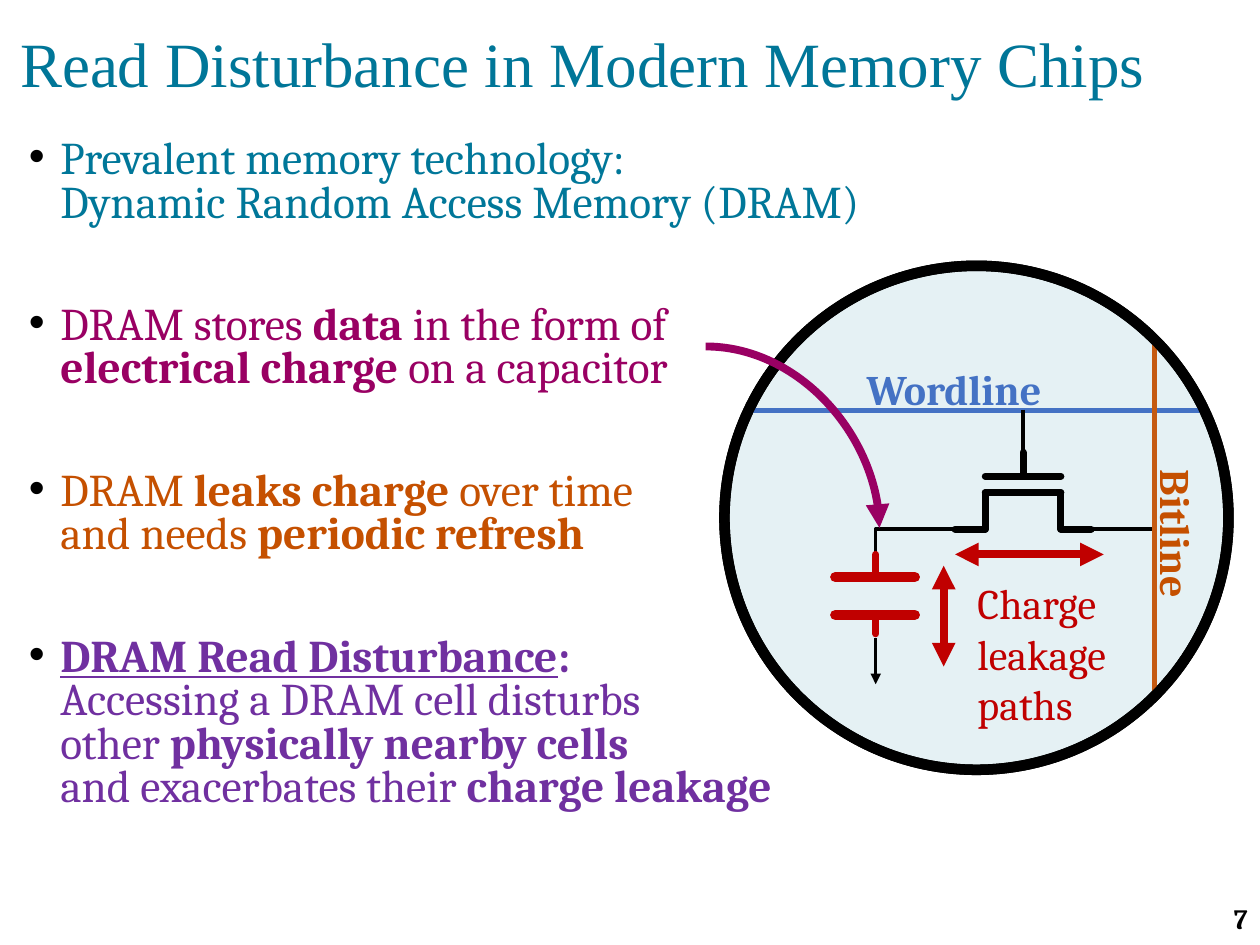
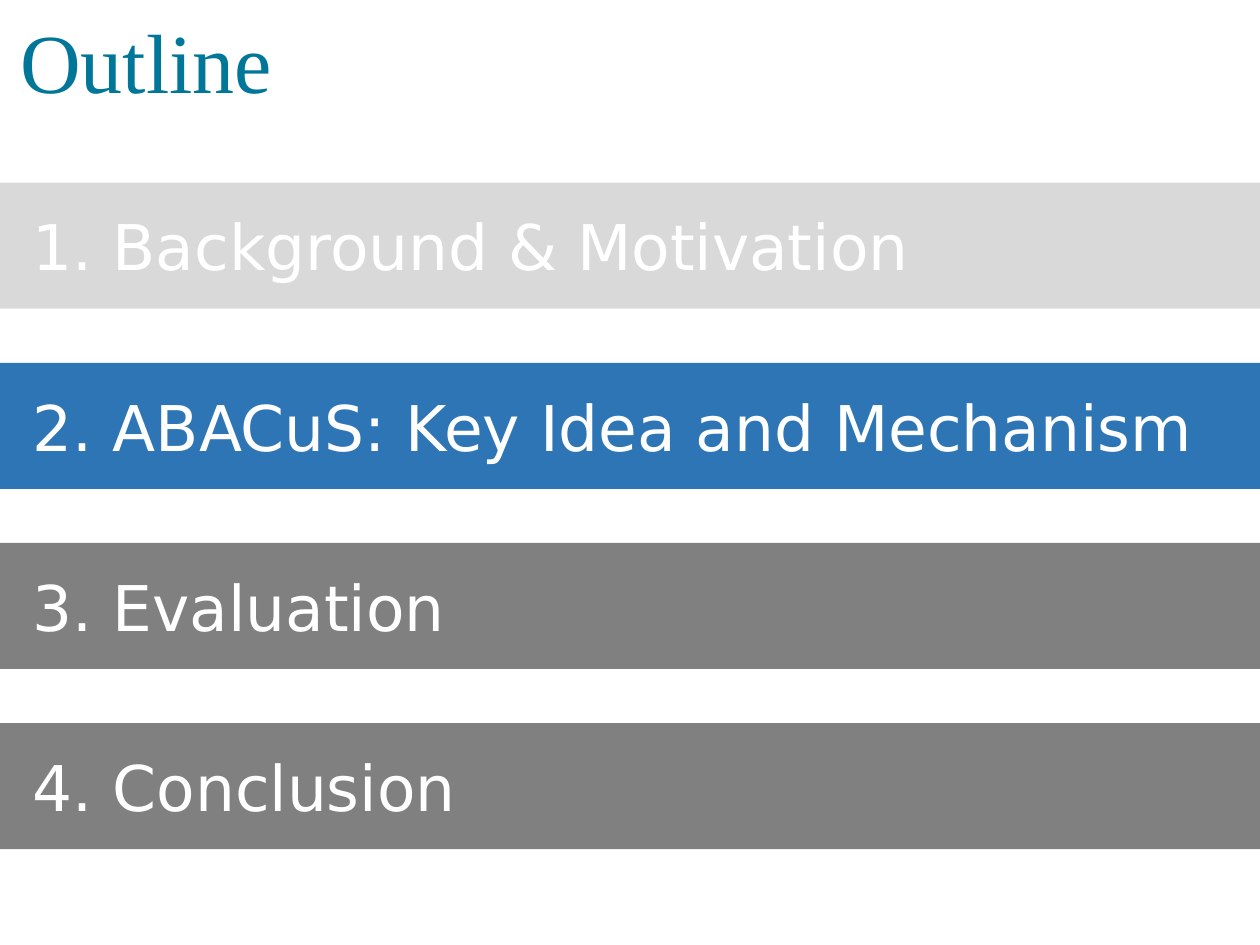
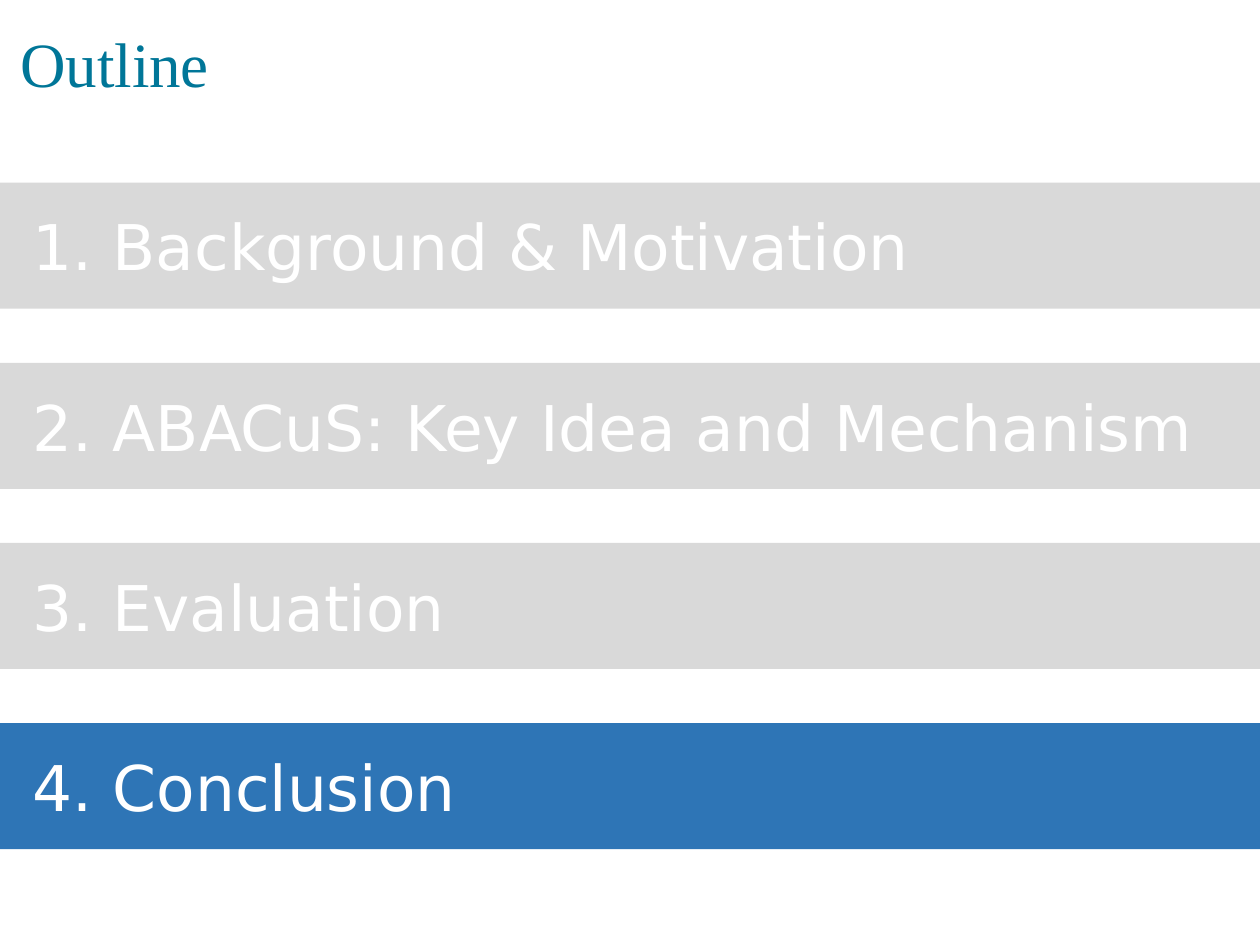
from lxml import etree
from pptx import Presentation
from pptx.dml.color import RGBColor
from pptx.enum.shapes import MSO_CONNECTOR as CONN, MSO_SHAPE as SHAPE
from pptx.enum.text import MSO_ANCHOR as ANCHOR, MSO_AUTO_SIZE as AUTO, PP_ALIGN as ALIGN
from pptx.oxml.ns import qn
from pptx.util import Inches, Pt

BLACK = RGBColor(0x00, 0x00, 0x00)
WHITE = RGBColor(0xFF, 0xFF, 0xFF)
TITLE_TEAL = RGBColor(0x00, 0x76, 0x98)
TEAL = RGBColor(0x00, 0x77, 0x99)
PLUM = RGBColor(0x99, 0x00, 0x63)
ORANGE = RGBColor(0xC5, 0x50, 0x00)
BITLINE_ORANGE = RGBColor(0xC5, 0x5A, 0x11)
PURPLE = RGBColor(0x70, 0x30, 0xA0)
WORDLINE_BLUE = RGBColor(0x44, 0x72, 0xC4)
RED = RGBColor(0xC0, 0x00, 0x00)
DONE_GRAY = RGBColor(0xD9, 0xD9, 0xD9)
NEXT_GRAY = RGBColor(0x80, 0x80, 0x80)
CURRENT_BLUE = RGBColor(0x2E, 0x75, 0xB6)

TITLE_FONT, BODY_FONT, BAND_FONT = "Times New Roman", "Cambria", "DejaVu Sans"

SECTIONS = ["Background & Motivation", "ABACuS: Key Idea and Mechanism",
            "Evaluation", "Conclusion"]

# Each bullet: colour, then runs with style letters (b = bold, u = underlined).
BULLETS = [
    (TEAL, [("Prevalent memory technology:\nDynamic Random Access Memory (DRAM)", "")]),
    (PLUM, [("DRAM stores ", ""), ("data", "b"), (" in the form of\n", ""),
            ("electrical charge ", "b"), ("on a capacitor", "")]),
    (ORANGE, [("DRAM ", ""), ("leaks charge ", "b"), ("over time\nand needs ", ""),
              ("periodic refresh", "b")]),
    (PURPLE, [("DRAM Read Disturbance", "bu"), (":\n", "b"),
              ("Accessing a DRAM cell disturbs\nother ", ""),
              ("physically nearby cells\n", "b"),
              ("and exacerbates their ", ""), ("charge leakage", "b")]),
]


class Deck:
    def __init__(self):
        self.prs = Presentation()
        self.prs.slide_width, self.prs.slide_height = Inches(10), Inches(7.5)
        self.s = None

    def new_slide(self, title, size=36):
        self.s = self.prs.slides.add_slide(self.prs.slide_layouts[5])
        sp = self.s.shapes.title
        sp.left, sp.top, sp.width, sp.height = Inches(0), Inches(0), Inches(10), Inches(1.06)
        tf = sp.text_frame
        tf.auto_size = AUTO.NONE
        tf.vertical_anchor = ANCHOR.MIDDLE
        tf.margin_left = Inches(0.16)
        p = tf.paragraphs[0]
        p.alignment = ALIGN.LEFT
        p.line_spacing = 0.9
        self.run(p, title, size, TITLE_TEAL, font=TITLE_FONT)

    def run(self, p, text, size, color, style="", font=BODY_FONT):
        """Add text to a paragraph, turning each newline into a line break."""
        for i, line in enumerate(text.split("\n")):
            if i:
                p.add_line_break()
            if line:
                r = p.add_run()
                r.text = line
                r.font.name, r.font.size = font, Pt(size)
                r.font.color.rgb = color
                r.font.bold = "b" in style
                r.font.underline = "u" in style

    def text_box(self, x, y, w, h, anchor=ANCHOR.MIDDLE):
        sp = self.s.shapes.add_textbox(Inches(x), Inches(y), Inches(w), Inches(h))
        sp.text_frame.word_wrap = True
        sp.text_frame.vertical_anchor = anchor
        return sp

    def label(self, x, y, w, h, lines, size, color, style="", align=ALIGN.LEFT):
        sp = self.text_box(x, y, w, h)
        tf = sp.text_frame
        for i, line in enumerate(lines):
            p = tf.add_paragraph() if i else tf.paragraphs[0]
            p.alignment = align
            self.run(p, line, size, color, style)
        return sp

    def bullets(self, x, y, w, h, items, size, gap):
        tf = self.text_box(x, y, w, h, ANCHOR.TOP).text_frame
        for i, (color, runs) in enumerate(items):
            p = tf.add_paragraph() if i else tf.paragraphs[0]
            pPr = p._p.get_or_add_pPr()
            pPr.set("marL", str(Inches(0.38)))
            pPr.set("indent", str(Inches(-0.25)))
            clr = etree.SubElement(pPr, qn("a:buClr"))
            etree.SubElement(clr, qn("a:srgbClr"), val=str(BLACK))
            etree.SubElement(pPr, qn("a:buFont"), typeface="Arial")
            etree.SubElement(pPr, qn("a:buChar"), char="•")
            p.line_spacing = 0.8
            if i:
                p.space_before = Pt(gap)
            for text, style in runs:
                self.run(p, text, size, color, style)

    def shape(self, kind, x, y, w, h, fill=None, alpha=None, line=None, width=0):
        sp = self.s.shapes.add_shape(kind, Inches(x), Inches(y), Inches(w), Inches(h))
        sp.shadow.inherit = False
        if fill is None:
            sp.fill.background()
        else:
            sp.fill.solid()
            sp.fill.fore_color.rgb = fill
        if alpha is not None:
            clr = sp._element.spPr.find(".//" + qn("a:srgbClr"))
            etree.SubElement(clr, qn("a:alpha"), val=str(alpha * 1000))
        if line is None:
            sp.line.fill.background()
        else:
            sp.line.color.rgb, sp.line.width = line, Pt(width)
        return sp

    def line(self, x1, y1, x2, y2, color, width, kind=CONN.STRAIGHT,
             ends=(), rounded=False):
        """Draw a connector; ends lists the ends ("headEnd", "tailEnd") with arrowheads."""
        c = self.s.shapes.add_connector(kind, Inches(x1), Inches(y1), Inches(x2), Inches(y2))
        c.line.color.rgb, c.line.width = color, Pt(width)
        spPr = c._element.spPr
        ln = spPr.find(qn("a:ln"))
        if rounded:
            ln.set("cap", "rnd")
        for end in ends:
            etree.SubElement(ln, qn("a:" + end), type="triangle")
        etree.SubElement(spPr, qn("a:effectLst"))
        return c

    def band(self, y, text, fill):
        sp = self.shape(SHAPE.RECTANGLE, 0, y, 10, 1, fill)
        tf = sp.text_frame
        tf.margin_left = Inches(0.26)
        tf.vertical_anchor = ANCHOR.MIDDLE
        p = tf.paragraphs[0]
        p.alignment = ALIGN.LEFT
        self.run(p, text, 36, WHITE, font=BAND_FONT)


def geometry(connector):
    return connector._element.spPr.find(qn("a:prstGeom"))


def draw_dram_cell(deck):
    circle = (SHAPE.OVAL, 5.75, 2.11, 4, 4)
    deck.shape(*circle, fill=TEAL, alpha=10, line=BLACK, width=6)
    deck.label(6.78, 2.84, 2.53, 0.49, ["Wordline"], 24, WORDLINE_BLUE, "b")
    deck.line(9.57, 3.26, 5.93, 3.26, WORDLINE_BLUE, 3)

    left, right, gate, channel, base = 7.82, 8.42, 3.78, 3.91, 4.2
    transistor = [(8.12, gate, 8.12, 3.59), (right, gate, left, gate),
                  (right, base, right, channel), (right, channel, left, channel),
                  (right, base, 8.66, base), (7.58, base, left, base),
                  (left, base, left, channel)]
    for segment in transistor:
        deck.line(*segment, BLACK, 4, rounded=True)

    deck.line(8.12, 3.25, 8.12, 3.62, BLACK, 2)
    deck.line(9.17, base, 8.67, base, BLACK, 2)
    wire = deck.line(7.58, base, 6.95, 4.4, BLACK, 2, CONN.ELBOW)
    adjust = geometry(wire).find(qn("a:avLst"))
    etree.SubElement(adjust, qn("a:gd"), name="adj1", fmla="val 100000")
    deck.line(6.95, 5.06, 6.95, 5.43, BLACK, 2, ends=["tailEnd"])

    for plate, lead_end in ((4.58, 4.4), (4.88, 5.03)):
        deck.line(6.95, plate, 6.95, lead_end, RED, 4, rounded=True)
        deck.line(7.26, plate, 6.63, plate, RED, 6, rounded=True)

    deck.line(9.16, 5.53, 9.16, 2.7, BITLINE_ORANGE, 3)
    deck.label(8.41, 4.3, 1.86, 0.52, ["Bitline"], 24, ORANGE, "b").rotation = 90
    for leakage_path in ((8.76, 4.4, 7.58, 4.4), (7.49, 5.29, 7.49, 4.49)):
        deck.line(*leakage_path, RED, 4.5, ends=["headEnd", "tailEnd"])
    deck.label(7.66, 4.53, 1.37, 1.31, ["Charge", "leakage", "paths"], 24, RED)
    deck.shape(*circle, line=BLACK, width=6)

    pointer = deck.line(5.6, 2.75, 6.98, 4.19, PLUM, 4.5, CONN.CURVE, ends=["tailEnd"])
    geometry(pointer).set("prst", "curvedConnector2")


def add_read_disturbance(deck):
    deck.new_slide("Read Disturbance in Modern Memory Chips")
    deck.label(7.75, 7.09, 2.25, 0.4, ["7"], 16, BLACK, "b", ALIGN.RIGHT)
    deck.bullets(0, 1.06, 7.69, 5.84, BULLETS, size=25.9, gap=45)
    draw_dram_cell(deck)


def add_outline(deck, current, title_size):
    """Outline with finished sections pale, the current one blue, later ones dark."""
    deck.new_slide("Outline", title_size)
    for i, section in enumerate(SECTIONS, 1):
        if i == current:
            fill = CURRENT_BLUE
        else:
            fill = DONE_GRAY if i < current else NEXT_GRAY
        deck.band(1.45 + (i - 1) * 1.43, f"{i}. {section}", fill)


def main():
    deck = Deck()
    add_read_disturbance(deck)
    add_outline(deck, current=2, title_size=48)
    add_outline(deck, current=4, title_size=36)
    deck.prs.save("out.pptx")


if __name__ == "__main__":
    main()
